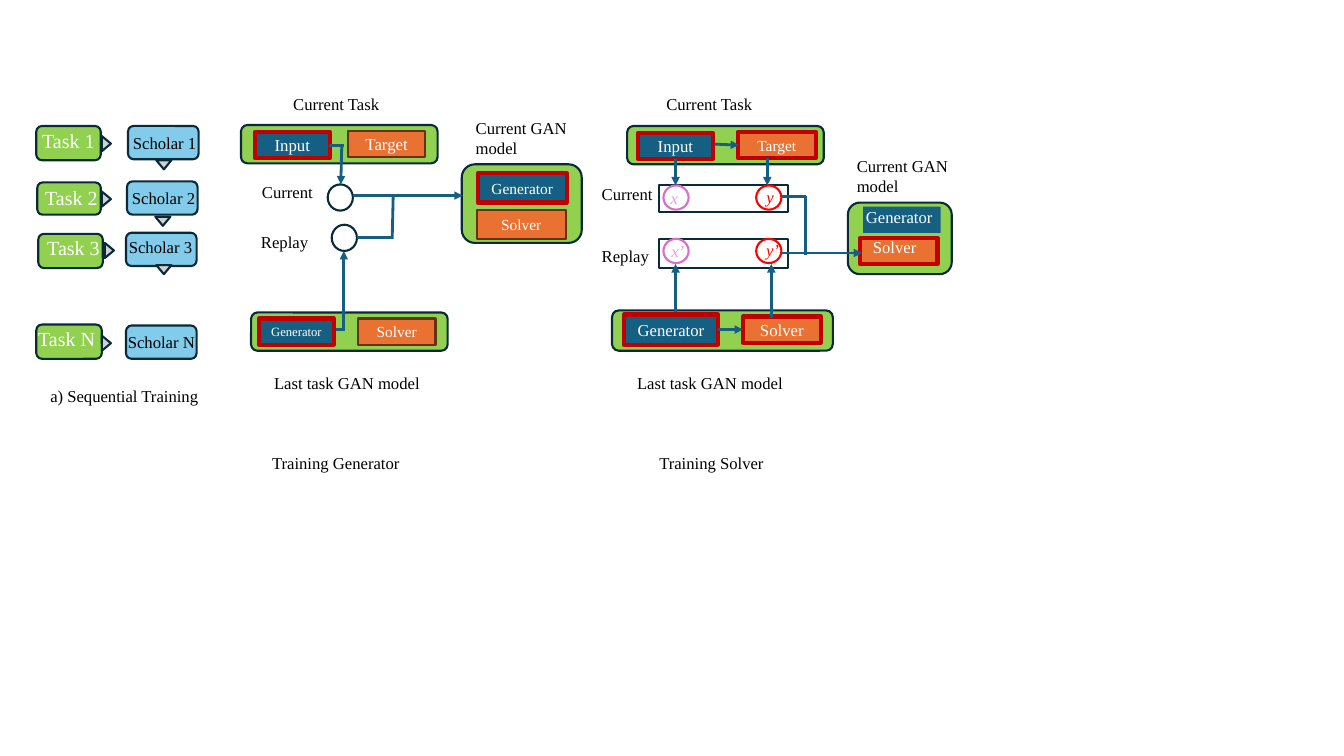
from lxml import etree
from pptx import Presentation, util as u
from pptx.dml.color import RGBColor
from pptx.enum import shapes, text
from pptx.oxml.ns import qn

FONT = "Times New Roman"
GREEN = RGBColor(0x92, 0xD0, 0x50)
SKY = RGBColor(0x83, 0xCB, 0xEB)
BLUE = RGBColor(0x15, 0x60, 0x82)
NAVY = RGBColor(0x09, 0x2A, 0x39)
ORANGE = RGBColor(0xE9, 0x71, 0x32)
BROWN = RGBColor(0x66, 0x32, 0x16)
CRIMSON = RGBColor(0xC0, 0x00, 0x00)
RED = RGBColor(0xFF, 0x00, 0x00)
ORCHID = RGBColor(0xD8, 0x6E, 0xCC)
PINK = RGBColor(0xE5, 0x9E, 0xDD)
GREY = RGBColor(0xD1, 0xD1, 0xD1)
WHITE = RGBColor(0xFF, 0xFF, 0xFF)
BLACK = RGBColor(0, 0, 0)

SHAPE = shapes.MSO_SHAPE
CELL = 0.1  # side of a grid cell in inches


def grid(*cells):
    return [u.Inches(c * CELL) for c in cells]


class Diagram:
    """Draws on one slide; every length is in grid columns and rows."""

    def __init__(self, s):
        self.s = s

    def add_words(self, tf, words, size, color, italic=False):
        p = tf.paragraphs[0]
        r = p.add_run()
        r.text = words
        r.font.name, r.font.size, r.font.italic = FONT, u.Pt(size), italic
        r.font.color.rgb = color
        return p

    def shape(self, kind, at, fill=None, line=NAVY, weight=1.5, rotation=0):
        sp = self.s.shapes.add_shape(kind, *grid(*at))
        sp.shadow.inherit = False
        sp.rotation = rotation
        if fill is None:
            sp.fill.background()
        else:
            sp.fill.solid()
            sp.fill.fore_color.rgb = fill
        if line is None:
            sp.line.fill.background()
        else:
            sp.line.color.rgb = line
            sp.line.width = u.Pt(weight)
        return sp

    def panel(self, *at, fill=GREEN):
        return self.shape(SHAPE.ROUNDED_RECTANGLE, at, fill)

    def node(self, words, at, fill, line, size):
        """Block with centred text; a crimson outline marks it as active."""
        sp = self.shape(SHAPE.RECTANGLE, at, fill, line, 3 if line == CRIMSON else 1.5)
        tf = sp.text_frame
        tf.word_wrap = True
        tf.vertical_anchor = text.MSO_ANCHOR.MIDDLE
        self.add_words(tf, words, size, WHITE).alignment = text.PP_ALIGN.CENTER

    def label(self, words, at, size=11.9, color=BLACK, italic=False, wrap=True):
        tf = self.s.shapes.add_textbox(*grid(*at)).text_frame
        tf.word_wrap = wrap
        tf.auto_size = text.MSO_AUTO_SIZE.SHAPE_TO_FIT_TEXT
        self.add_words(tf, words, size, color, italic)

    def pointer(self, x, y, rotation):
        self.shape(SHAPE.ISOSCELES_TRIANGLE, (x, y, 1.5, 0.9), GREY, rotation=rotation)

    def circle(self, x, y, w=2.5, h=2.4, line=NAVY):
        self.shape(SHAPE.FLOWCHART_CONNECTOR, (x, y, w, h), line=line)

    def link(self, *ends, arrow=True):
        c = self.s.shapes.add_connector(shapes.MSO_CONNECTOR.STRAIGHT, *grid(*ends))
        c.line.color.rgb = BLUE
        c.line.width = u.Pt(2)
        sp_pr = c._element.spPr
        if arrow:
            etree.SubElement(sp_pr.find(qn("a:ln")), qn("a:tailEnd"), type="triangle")
        etree.SubElement(sp_pr, qn("a:effectLst"))


def sequential_training(d):
    # name, task box, task label, scholar box, scholar label, pointer
    rows = [
        ("1", (3.6, 12.5, 6.4, 3.4), (3.2, 12.3), (12.7, 12.5), (12.2, 12.7), (9.8, 13.8)),
        ("2", (3.7, 18.1, 6.3, 3.2), (3.5, 17.9), (12.6, 18), (12.1, 18.1), (9.8, 19.3)),
        ("3", (3.8, 23.2, 6.4, 3.4), (3.7, 22.9), (12.5, 23.1), (11.8, 23), (10.1, 24.4)),
        ("N", (3.6, 32.2, 6.5, 3.4), (2.8, 31.9), (12.5, 32.3), (11.7, 32.4), (9.8, 33.6)),
    ]
    for name, task, task_label, scholar, scholar_label, tip in rows:
        d.panel(*task)
        d.label(f"Task {name}", (*task_label, 8.5, 3.4), 14.3, WHITE)
        d.panel(*scholar, 7, 3.3, fill=SKY)
        d.label(f"Scholar {name}", (*scholar_label, 9.3, 3))
        d.pointer(*tip, 90)
    for tip in ((15.5, 15.9), (15.4, 21.5), (15.5, 26.3)):
        d.pointer(*tip, 180)
    d.label("a) Sequential Training", (4, 37.8, 19.5, 3))


def training_generator(d):
    d.panel(23.9, 12.4, 19.5, 3.8)
    d.panel(24.9, 31, 19.5, 3.8)
    d.panel(45.8, 16.3, 11.9, 7.8)
    d.node("Input", (25.3, 13.1, 7.4, 2.6), BLUE, CRIMSON, 12)
    d.node("Target", (34.5, 13, 7.7, 2.6), ORANGE, BROWN, 12)
    d.node("Generator", (47.4, 17.2, 8.8, 2.9), BLUE, CRIMSON, 11)
    d.node("Solver", (47.3, 20.8, 8.8, 2.9), ORANGE, BROWN, 11)
    d.circle(32.5, 18.3, h=2.6)
    d.circle(32.9, 22.3, h=2.6)
    d.link(32.6, 14.4, 34.1, 14.4, arrow=False)
    d.link(32.9, 32.7, 34.1, 32.7, arrow=False)
    d.link(33.9, 14.4, 33.8, 18.3)
    d.link(34.1, 32.8, 34.1, 24.9)
    d.link(35, 19.4, 45.9, 19.4)
    d.link(35.4, 23.6, 38.9, 23.6, arrow=False)
    d.link(38.9, 23.7, 39, 19.3, arrow=False)
    d.node("Generator", (25.7, 31.6, 7.4, 2.6), BLUE, CRIMSON, 9)
    d.node("Solver", (35.5, 31.6, 7.7, 2.6), ORANGE, BROWN, 11)
    d.label("Current Task", (28.1, 8.8, 11.5, 3))
    d.label("Current GAN model", (46.2, 11.2, 11.3, 5))
    d.label("Current", (25, 17.6, 7.6, 3))
    d.label("Replay", (24.9, 22.5, 7.6, 3))
    d.label("Last task GAN model", (26.2, 36.5, 18.3, 3))
    d.label("Training Generator", (26, 44.4, 19.5, 3))


def training_solver(d):
    d.panel(62.2, 12.5, 19.5, 3.8)
    d.panel(84.1, 20.1, 10.3, 7.1)
    d.panel(60.7, 30.8, 21.9, 4)
    d.node("Input", (63.3, 13.2, 7.4, 2.6), BLUE, CRIMSON, 12)
    d.node("Target", (73.2, 13.1, 7.7, 2.6), ORANGE, CRIMSON, 11)
    d.node("Solver", (73.7, 31.4, 7.7, 2.6), ORANGE, CRIMSON, 12)
    d.node("Generator", (61.9, 31.2, 9.3, 3), BLUE, CRIMSON, 11.9)
    d.shape(SHAPE.RECTANGLE, (85.3, 23.6, 7.7, 2.6), ORANGE, CRIMSON, 3)
    d.label("Solver", (85.6, 23, 8, 3), color=WHITE)
    d.shape(SHAPE.RECTANGLE, (85.6, 20.5, 7.7, 2.6), BLUE, None)
    d.label("Generator", (84.9, 20, 10, 3), color=WHITE)
    for y, h in ((18.4, 2.6), (23.7, 2.9)):
        d.shape(SHAPE.RECTANGLE, (65.4, y, 12.8, h))
        d.circle(65.8, y, line=ORCHID)
        d.circle(75, y, line=RED)
    d.label("x", (65.9, 18.1, 1.6, 3), color=PINK, italic=True, wrap=False)
    d.label("y", (75.4, 18, 1.6, 3), color=RED, italic=True, wrap=False)
    d.label("x’", (65.6, 23.4, 4, 3), color=PINK, italic=True)
    d.label("y’", (75, 23.3, 4.7, 3), color=RED, italic=True)
    d.link(70.9, 14.3, 73.3, 14.4)
    d.link(67, 15.8, 67, 18.4)
    d.link(76.1, 15.7, 76.1, 18.4)
    d.link(77.5, 25.1, 85.5, 25.1)
    d.link(77.5, 19.5, 79.9, 19.5, arrow=False)
    d.link(79.9, 19.4, 79.9, 25.3, arrow=False)
    d.link(76.5, 31.5, 76.5, 26.2)
    d.link(67, 31, 67, 26.2)
    d.link(71.2, 32.7, 73.7, 32.7)
    d.label("Current Task", (65.1, 8.8, 11.5, 3))
    d.label("Current GAN model", (84, 15, 14.6, 5))
    d.label("Current", (58.7, 17.7, 7.6, 3))
    d.label("Replay", (58.7, 23.9, 7.6, 3))
    d.label("Last task GAN model", (62.2, 36.5, 19.5, 3))
    d.label("Training Solver", (64.4, 44.4, 19.5, 3))


def main():
    prs = Presentation()
    prs.slide_width, prs.slide_height = u.Inches(13.33), u.Inches(7.5)
    d = Diagram(prs.slides.add_slide(prs.slide_layouts[6]))
    sequential_training(d)
    training_generator(d)
    training_solver(d)
    prs.save("out.pptx")


if __name__ == "__main__":
    main()
